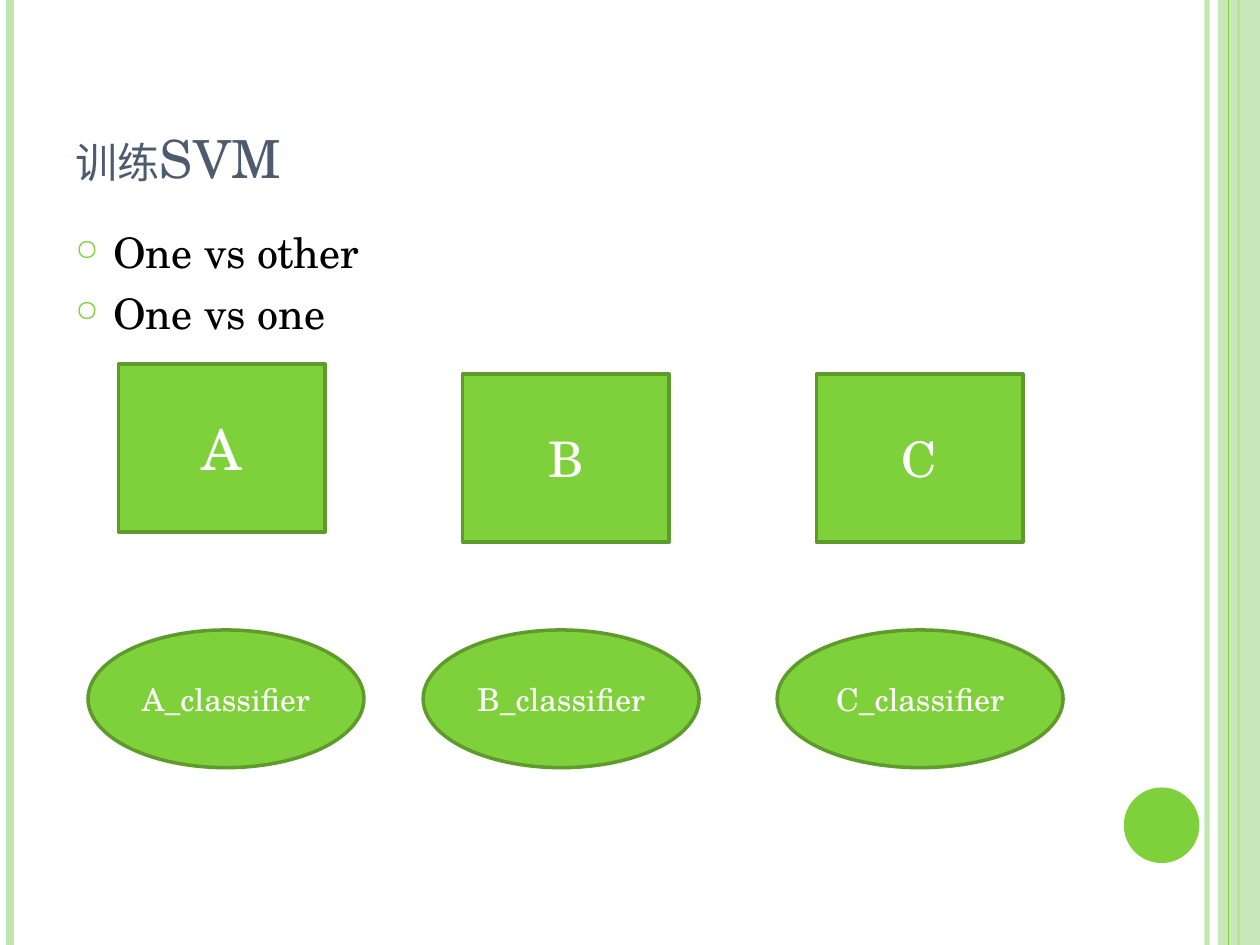
from pptx import Presentation
from pptx.util import Pt
from pptx.dml.color import RGBColor as RGB
from pptx.enum.shapes import MSO_SHAPE as Shape, MSO_CONNECTOR as Conn
from pptx.enum.text import MSO_ANCHOR as Anchor, MSO_AUTO_SIZE as Fit, PP_ALIGN as Align
from pptx.oxml.ns import qn
from lxml.etree import SubElement as sub

FONT = "TeX Gyre Schola"
COLORS = {
    "green": "7FD13B",
    "edge": "5E9B2C",
    "pale": "C0E5AF",
    "slate": "4E5B6F",
    "black": "000000",
    "white": "FFFFFF",
}


def tint(name):
    return RGB.from_string(COLORS[name])


def style(font, size, color):
    values = {"name": FONT, "size": Pt(size), "bold": False}
    for key, value in values.items():
        setattr(font, key, value)
    font.color.rgb = tint(color)


def fade(item, share):
    for node in item._element.iter(qn("a:srgbClr")):
        sub(node, qn("a:alpha"), val=str(share * 1000))


def add_bar(slide, x, top, high, color, width):
    bar = slide.shapes.add_connector(Conn.STRAIGHT, Pt(x), Pt(top), Pt(x), Pt(top + high))
    bar.line.color.rgb = tint(color)
    bar.line.width = Pt(width)
    sub(bar._element.spPr, qn("a:effectLst"))
    return bar


def add_form(slide, kind, box, edge=None):
    form = slide.shapes.add_shape(kind, *map(Pt, box))
    form.shadow.inherit = False
    form.fill.solid()
    form.fill.fore_color.rgb = tint("green")
    if edge:
        form.line.color.rgb = tint(edge)
        form.line.width = Pt(2)
    else:
        form.line.fill.background()
    return form


def add_node(slide, kind, box, text, size):
    frame = add_form(slide, kind, box, "edge").text_frame
    frame.word_wrap = False
    frame.vertical_anchor = Anchor.MIDDLE
    par = frame.paragraphs[0]
    par.text = text
    par.alignment = Align.CENTER
    style(par.runs[0].font, size, "white")


def add_frame(slide, box):
    left, top, wide, high = box
    fade(add_bar(slide, left + 689.8, top, high, "pale", 3), 93)
    add_bar(slide, left + 5.8, top, high, "pale", 4.5)
    add_bar(slide, left + 707.8, top, high, "green", 1.5)
    band = add_form(slide, Shape.RECTANGLE, (left + 696, top, wide - 696, high))
    band.fill.fore_color.rgb = tint("pale")
    fade(band, 87)
    add_bar(slide, left + 702, top, high, "green", 0.75)
    add_form(slide, Shape.OVAL, (left + 642.2, top + 450, 43.2, 43.2))


def set_title(slide, box, text):
    title = slide.shapes.title
    title.left, title.top, title.width, title.height = map(Pt, box)
    frame = title.text_frame
    frame.text = text
    frame.auto_size = Fit.NONE
    frame.vertical_anchor = Anchor.BOTTOM
    par = frame.paragraphs[0]
    par.alignment = Align.LEFT
    run = par.runs[0]
    style(run.font, 30, "slate")
    run._r.get_or_add_rPr().set("cap", "small")


def add_list(slide, box, lines):
    frame = slide.shapes.add_textbox(*map(Pt, box)).text_frame
    frame.word_wrap = True
    for i, text in enumerate(lines):
        par = frame.add_paragraph() if i else frame.paragraphs[0]
        par.text = text
        par.space_before = Pt(6 if i else 0)
        props = par._p.get_or_add_pPr()
        props.set("marL", str(Pt(21.6)))
        props.set("indent", str(Pt(-21.6)))
        sub(sub(props, qn("a:buClr")), qn("a:srgbClr"), val=COLORS["green"])
        sub(props, qn("a:buSzPct"), val="70000")
        sub(props, qn("a:buChar"), char="○")
        style(par.runs[0].font, 24, "black")


def add_classes(slide, box):
    left, top, wide, high = box
    cells = [
        ("A", 17.4, 0, 32),
        ("B", 214, 5.8, 28),
        ("C", 416.2, 5.8, 28),
    ]
    for name, x, y, size in cells:
        add_node(slide, Shape.RECTANGLE, (left + x, top + y, 118, 96), name, size)
    ovals = [("A", 0, 157.7), ("B", 191.5, 157.7), ("C", 393.8, 163.4)]
    for name, x, width in ovals:
        spot = (left + x, top + high - 78.7, width, 78.7)
        add_node(slide, Shape.OVAL, spot, f"{name}_classifier", 18)


def main():
    deck = Presentation()
    deck.slide_width, deck.slide_height = Pt(720), Pt(540)
    slide = deck.slides.add_slide(deck.slide_layouts[5])
    add_frame(slide, (0, 0, 720, 540))
    set_title(slide, (36, 21.6, 588, 90), "训练SVM")
    add_list(slide, (36, 126, 588, 384), ["One vs other", "One vs one"])
    add_classes(slide, (50.3, 208, 557.2, 230.7))
    deck.save("out.pptx")


if __name__ == "__main__":
    main()
